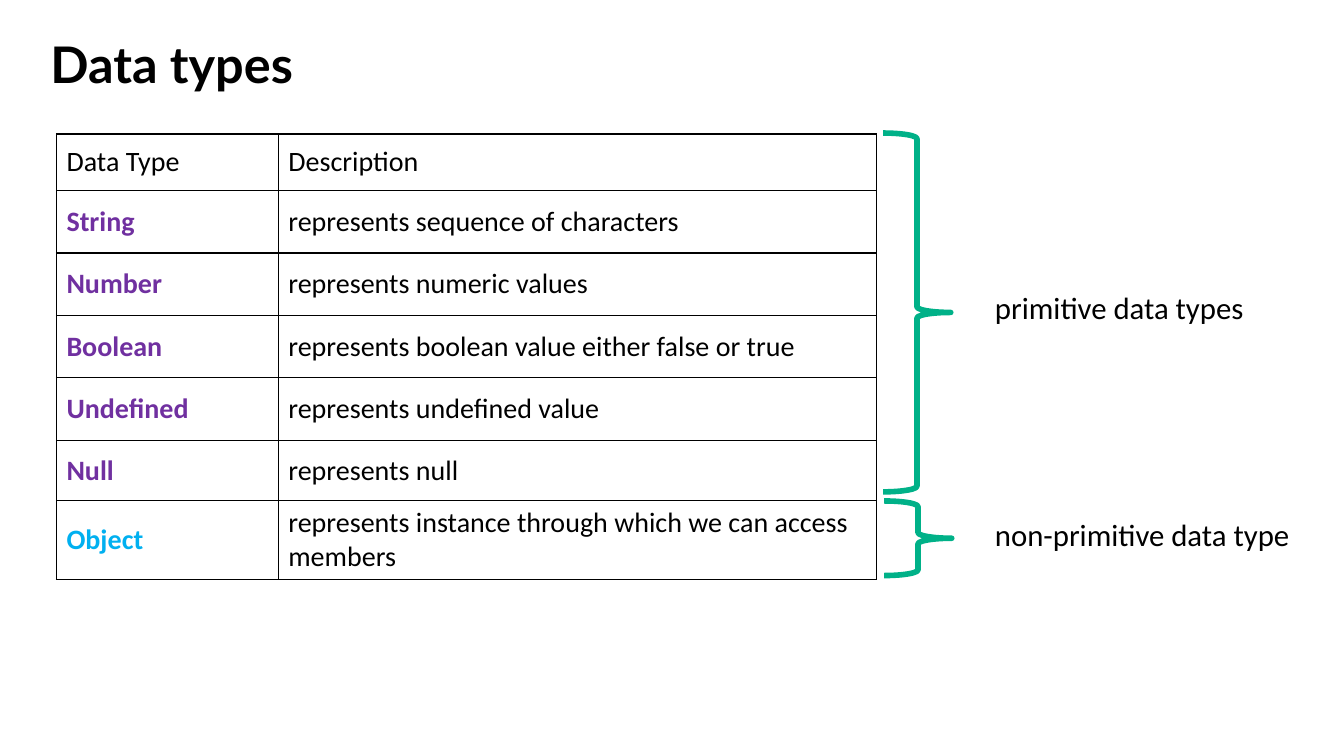
from dataclasses import dataclass

import pptx
import pptx.util
import pptx.dml.color
import pptx.enum.shapes
import pptx.enum.text
from lxml import etree
from pptx.util import Inches


@dataclass(frozen=True)
class Theme:
    title_font: str = "Lato"
    body_font: str = "Calibri"
    title_size: int = 36
    table_size: int = 20
    label_size: int = 22
    text: str = "000000"
    primitive: str = "7030A0"
    non_primitive: str = "00B0F0"
    brace: str = "00B188"


theme = Theme()


def set_font(paragraph, face, size, color, bold=False):
    paragraph.font.name = face
    paragraph.font.size = pptx.util.Pt(size)
    paragraph.font.bold = bold
    paragraph.font.color.rgb = pptx.dml.color.RGBColor.from_string(color)


def add_borders(cell, color):
    """Draw a one-point line on all four sides; call before setting the fill."""
    properties = cell._tc.get_or_add_tcPr()
    namespace = "{http://schemas.openxmlformats.org/drawingml/2006/main}"
    for side in ("lnL", "lnR", "lnT", "lnB"):
        line = etree.SubElement(properties, namespace + side, w="12700")
        fill = etree.SubElement(line, namespace + "solidFill")
        etree.SubElement(fill, namespace + "srgbClr", val=color)


presentation = pptx.Presentation()
presentation.slide_width = Inches(13.33)
presentation.slide_height = Inches(7.5)
slide = presentation.slides.add_slide(presentation.slide_layouts[5])

# Title
title = slide.shapes.title
title.left, title.top = Inches(0.4), Inches(0.38)
title.width, title.height = Inches(12.65), Inches(0.58)
title.text_frame.text = "Data types"
title.text_frame.vertical_anchor = pptx.enum.text.MSO_ANCHOR.MIDDLE
heading = title.text_frame.paragraphs[0]
heading.alignment = pptx.enum.text.PP_ALIGN.LEFT
heading.line_spacing = 0.9
set_font(heading, theme.title_font, theme.title_size, theme.text, bold=True)

# Table: type, description, colour of the type, row height
data_types = [
    ("Data Type", "Description", theme.text, 0.56),
    ("String", "represents sequence of characters", theme.primitive, 0.62),
    ("Number", "represents numeric values", theme.primitive, 0.62),
    ("Boolean", "represents boolean value either false or true", theme.primitive, 0.62),
    ("Undefined", "represents undefined value", theme.primitive, 0.62),
    ("Null", "represents null", theme.primitive, 0.6),
    ("Object", "represents instance through which we can access members",
     theme.non_primitive, 0.64),
]
type_table = slide.shapes.add_table(
    len(data_types), 2, Inches(0.56), Inches(1.33), Inches(8.13), Inches(4.28)).table
type_table.first_row = False
type_table.horz_banding = False
for column, width in zip(type_table.columns, (2.2, 5.93)):
    column.width = Inches(width)

for row_index, (type_name, description, type_color, height) in enumerate(data_types):
    type_table.rows[row_index].height = Inches(height)
    for column_index, (wording, color) in enumerate(
            [(type_name, type_color), (description, theme.text)]):
        cell = type_table.cell(row_index, column_index)
        cell.text = wording
        cell.vertical_anchor = pptx.enum.text.MSO_ANCHOR.MIDDLE
        add_borders(cell, theme.text)
        cell.fill.background()
        set_font(cell.text_frame.paragraphs[0], theme.body_font, theme.table_size,
                 color, bold=color != theme.text)

# Braces with their labels: brace left, top, height, label top, label width
groups = [
    ("primitive data types", 8.76, 1.32, 3.56, 2.82, 2.69),
    ("non-primitive data type", 8.77, 4.97, 0.74, 5.07, 3.15),
]
for wording, left, top, height, label_top, label_width in groups:
    brace = slide.shapes.add_shape(
        pptx.enum.shapes.MSO_SHAPE.RIGHT_BRACE,
        Inches(left), Inches(top), Inches(0.67), Inches(height))
    brace.shadow.inherit = False
    brace.fill.background()
    brace.line.color.rgb = pptx.dml.color.RGBColor.from_string(theme.brace)
    brace.line.width = pptx.util.Pt(4)

    label = slide.shapes.add_textbox(
        Inches(9.77), Inches(label_top), Inches(label_width), Inches(0.47)).text_frame
    label.word_wrap = False
    label.auto_size = pptx.enum.text.MSO_AUTO_SIZE.SHAPE_TO_FIT_TEXT
    label.text = wording
    set_font(label.paragraphs[0], theme.body_font, theme.label_size, theme.text)

presentation.save("out.pptx")
